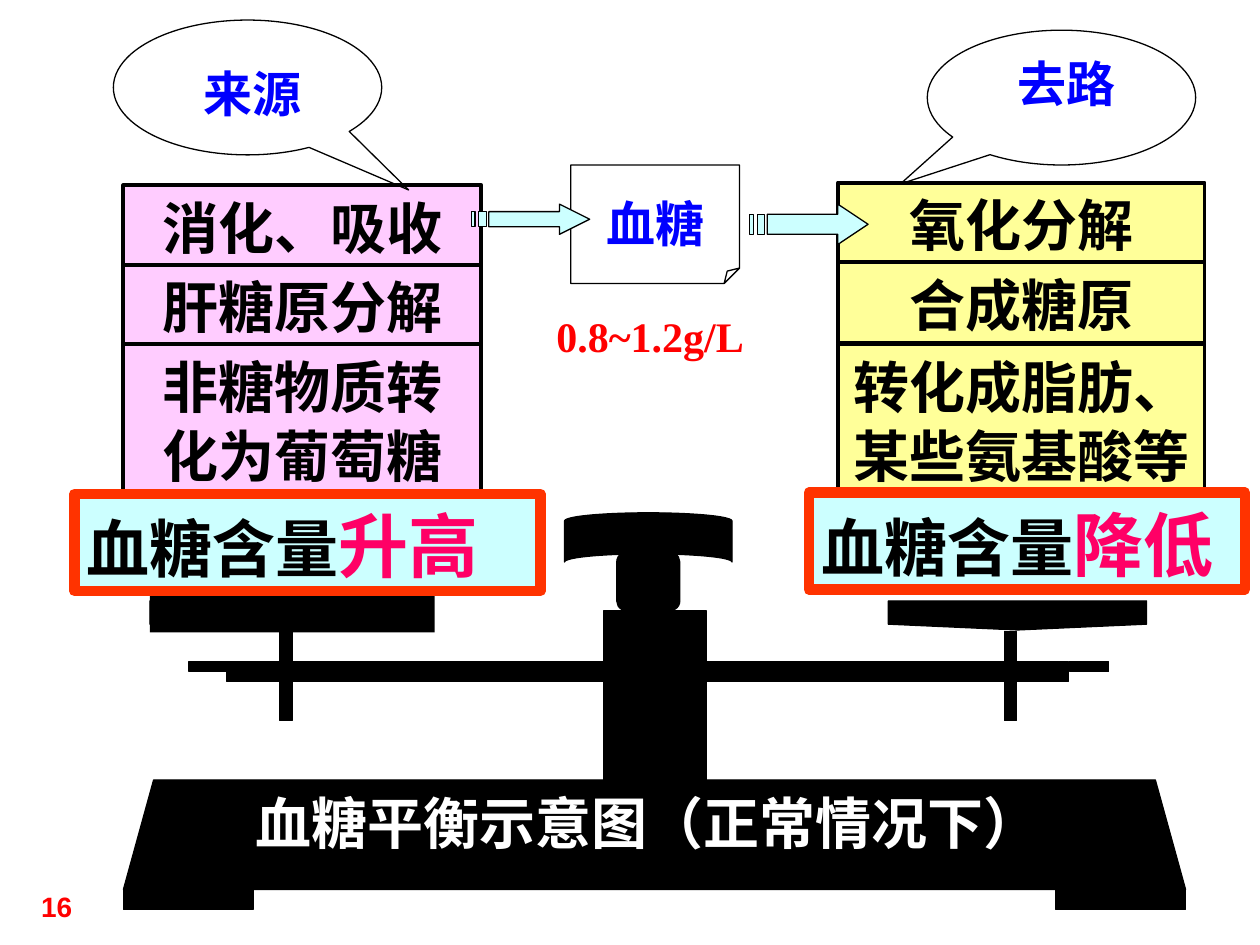
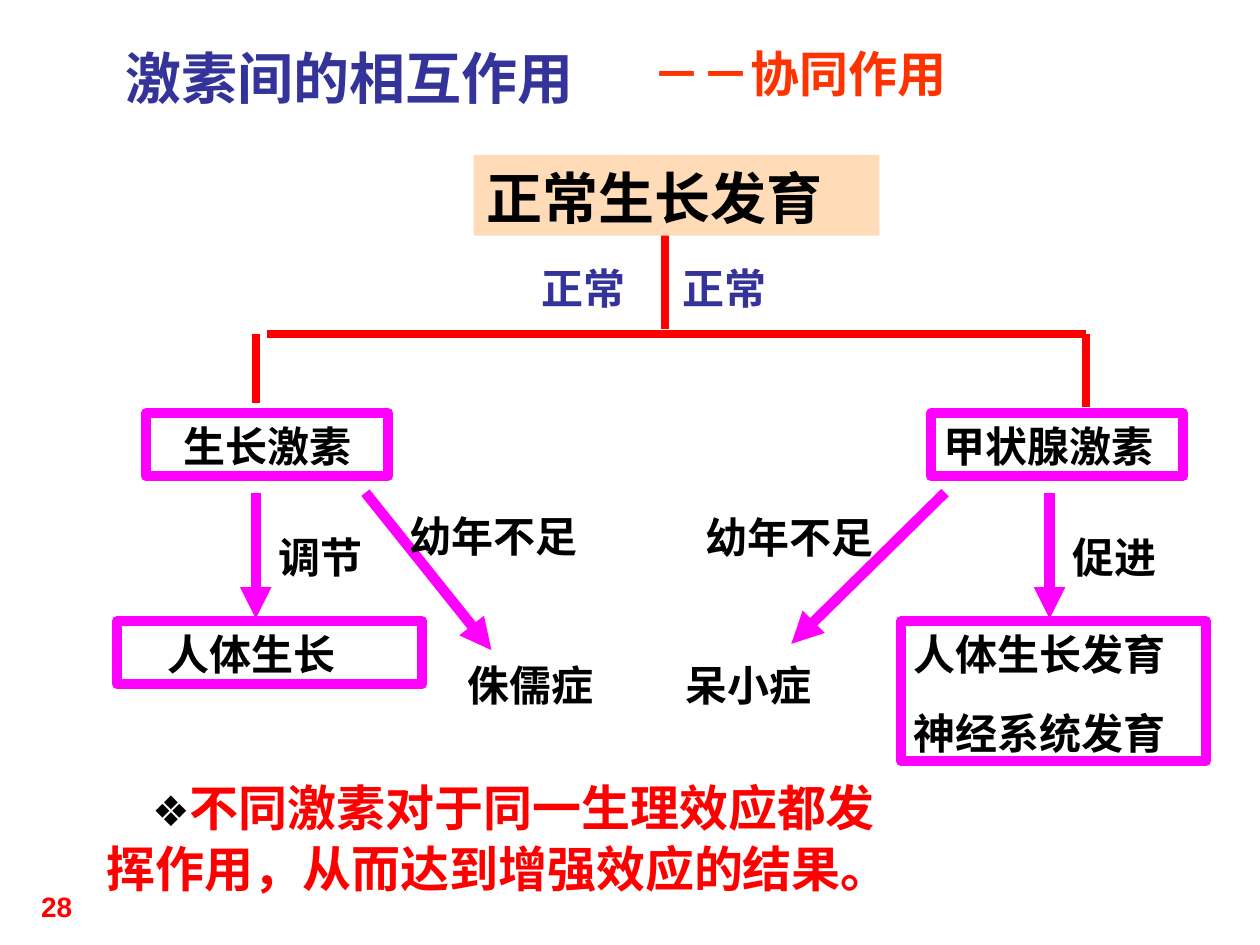
from dataclasses import dataclass
from typing import Optional

from lxml import etree
from pptx import Presentation
from pptx import util as u
from pptx.dml.color import RGBColor
from pptx.enum import shapes, text
from pptx.oxml import ns

PX = 9144
BLACK = RGBColor(0, 0, 0)
WHITE = RGBColor(255, 255, 255)
RED = RGBColor(255, 0, 0)
ORANGE = RGBColor(255, 51, 0)
ROSE = RGBColor(255, 0, 102)
BLUE = RGBColor(0, 0, 255)
INDIGO = RGBColor(51, 51, 153)
MAGENTA = RGBColor(255, 0, 255)
PINK = RGBColor(255, 204, 255)
YELLOW = RGBColor(255, 255, 153)
CYAN = RGBColor(204, 255, 255)
PEACH = RGBColor(255, 219, 183)

KIND = shapes.MSO_SHAPE
LEFT, CENTER, RIGHT = text.PP_ALIGN.LEFT, text.PP_ALIGN.CENTER, text.PP_ALIGN.RIGHT
SERIF, SANS, ARIAL, ROBOTO, CJK = (
    "Times New Roman", "DejaVu Sans", "Arial", "Roboto", "Noto Sans CJK JP")


@dataclass(frozen=True)
class Box:
    x: int
    y: int
    w: int
    h: int


@dataclass(frozen=True)
class Style:
    size: int
    font: str = SERIF
    color: RGBColor = BLACK
    align: text.PP_ALIGN = LEFT
    spacing: float = 1.03


@dataclass(frozen=True)
class Piece:
    words: str
    size: int
    color: RGBColor
    font: str


@dataclass(frozen=True)
class Label:
    words: str
    box: Box
    style: Style


LAYER = Style(32, SANS, align=CENTER)
VERDICT = Style(36, SANS)
BUBBLE = Style(28, ROBOTO, BLUE, CENTER)
NOTE = Style(24)
NOTE_CENTER = Style(24, align=CENTER)
NORMAL = Style(24, CJK, INDIGO)
CONCLUSION = Style(28, SERIF, RED)
PAGE_NUMBER = Style(16, ARIAL, RED, RIGHT, 1.0)


def emu(box: Box) -> tuple:
    return tuple(u.Emu(side * PX) for side in (box.x, box.y, box.w, box.h))


def paint(shape, fill: Optional[RGBColor], line: Optional[RGBColor], width: float):
    shape.shadow.inherit = False
    if fill is None:
        shape.fill.background()
    else:
        shape.fill.solid()
        shape.fill.fore_color.rgb = fill
    if line is None:
        shape.line.fill.background()
    else:
        shape.line.color.rgb = line
        shape.line.width = u.Pt(width)
    return shape


def draw(slide, kind, box: Box, fill=None, line=BLACK, width=0.75, adjust=()):
    shape = slide.shapes.add_shape(kind, *emu(box))
    for index, value in enumerate(adjust):
        shape.adjustments[index] = value
    return paint(shape, fill, line, width)


def fold_corner(sheet, share: float) -> None:
    guides = sheet._element.spPr.find(ns.qn("a:prstGeom")).find(ns.qn("a:avLst"))
    etree.SubElement(guides, ns.qn("a:gd"), name="adj", fmla=f"val {round(share * 100000)}")


def outline(slide, contours: list, fill: RGBColor) -> None:
    builder = slide.shapes.build_freeform(*contours[0][0], scale=PX)
    builder.add_line_segments(contours[0][1:], close=True)
    for contour in contours[1:]:
        builder.move_to(*contour[0])
        builder.add_line_segments(contour[1:], close=True)
    paint(builder.convert_to_shape(), fill, BLACK, 0.75)


def east_asian(font, typeface: str) -> None:
    etree.SubElement(font._rPr, ns.qn("a:ea"), typeface=typeface)


def write(shape, lines: list, style: Style, indent: int = 0, inset: int = 10,
          gap: int = 0) -> None:
    frame = shape.text_frame
    frame.word_wrap = True
    frame.vertical_anchor = text.MSO_ANCHOR.TOP
    frame.margin_left, frame.margin_right = u.Emu(inset * PX), u.Emu(10 * PX)
    frame.margin_top = frame.margin_bottom = u.Emu(5 * PX)
    for index, line in enumerate(lines):
        paragraph = frame.add_paragraph() if index else frame.paragraphs[0]
        paragraph.alignment = style.align
        paragraph.line_spacing = style.spacing
        if index:
            paragraph.space_before = u.Pt(gap)
        if indent:
            paragraph._p.get_or_add_pPr().set("indent", str(indent * PX))
        font = paragraph.font
        font.bold = True
        if isinstance(line, str):
            paragraph.add_run().text = line
            font.size, font.name = u.Pt(style.size), style.font
            font.color.rgb = style.color
            east_asian(font, CJK if style.font == CJK else SANS)
            continue
        for piece in line:
            run = paragraph.add_run()
            run.text = piece.words
            run.font.size, run.font.name = u.Pt(piece.size), piece.font
            run.font.color.rgb = piece.color
            east_asian(run.font, SANS)


def label(slide, item: Label) -> None:
    write(slide.shapes.add_textbox(*emu(item.box)), [item.words], item.style)


def connect(slide, start: tuple, end: tuple, color: RGBColor, width: float,
            arrow: bool = False) -> None:
    points = [u.Emu(value * PX) for value in (*start, *end)]
    line = slide.shapes.add_connector(shapes.MSO_CONNECTOR.STRAIGHT, *points)
    line.line.color.rgb = color
    line.line.width = u.Pt(width)
    if arrow:
        etree.SubElement(line.line._get_or_add_ln(), ns.qn("a:tailEnd"), type="triangle")
    etree.SubElement(line._element.spPr, ns.qn("a:effectLst"))


def striped_arrow(slide, x: int, y: int, height: int) -> None:
    quarter = height // 4
    top, bottom = y + quarter, y + height - quarter
    neck = x + 70
    head = [(neck, y), (neck, top), (x + 14, top), (x + 14, bottom), (neck, bottom),
            (neck, y + height), (x + 94, y + height // 2)]
    stripes = [[(x + a, top), (x + a, bottom), (x + b, bottom), (x + b, top)]
               for a, b in ((6, 12), (0, 3))]
    outline(slide, [head, *stripes], CYAN)


def new_slide(deck, number: int):
    slide = deck.slides.add_slide(deck.slide_layouts[6])
    slide.background.fill.solid()
    slide.background.fill.fore_color.rgb = WHITE
    label(slide, Label(str(number), Box(15, 701, 52, 49), PAGE_NUMBER))
    return slide


def balance(slide) -> None:
    bars = [Box(150, 525, 31, 8), Box(849, 525, 31, 8), Box(98, 706, 103, 16),
            Box(838, 706, 103, 16), Box(479, 485, 82, 134), Box(180, 525, 668, 16),
            Box(222, 501, 10, 71), Box(797, 501, 10, 71)]
    draw(slide, KIND.FLOWCHART_STORED_DATA, Box(495, 360, 39, 133), BLACK).rotation = 90
    outline(slide, [[(941, 706), (917, 619), (122, 619), (98, 706)]], BLACK)
    for bar in bars:
        draw(slide, KIND.RECTANGLE, bar, BLACK)
    draw(slide, KIND.ROUNDED_RECTANGLE, Box(489, 438, 51, 47), BLACK, None)
    for pan in (Box(119, 477, 206, 23), Box(705, 477, 205, 23)):
        draw(slide, KIND.FLOWCHART_OFFPAGE_CONNECTOR, pan, BLACK)
    draw(slide, KIND.RECTANGLE, Box(119, 462, 226, 40), BLACK, None)


def stack(slide, x: int, y: int, width: int, fill: RGBColor, layers: list) -> None:
    tops = (y, y + 63, 273)
    for words, top, height in zip(layers, tops, (64, 64, 117)):
        layer = draw(slide, KIND.RECTANGLE, Box(x, top, width, height), fill, BLACK, 2.25)
        write(layer, [words], LAYER)


def verdict(slide, box: Box, change: str) -> None:
    panel = draw(slide, KIND.RECTANGLE, box, CYAN, ORANGE, 6)
    write(panel, [[Piece("血糖含量", 36, BLACK, SANS), Piece(change, 40, ROSE, SANS)]], VERDICT)


def blood_sugar(deck) -> None:
    slide = new_slide(deck, 16)
    balance(slide)
    stack(slide, 665, 145, 291, YELLOW, ["氧化分解", "合成糖原", "转化成脂肪、某些氨基酸等"])
    stack(slide, 98, 147, 284, PINK, ["消化、吸收", "肝糖原分解", "非糖物质转化为葡萄糖"])
    verdict(slide, Box(642, 391, 346, 77), "降低")
    verdict(slide, Box(59, 392, 370, 77), "升高")
    draw(slide, KIND.OVAL_CALLOUT, Box(90, 16, 213, 107), adjust=(0.6, 0.76))
    draw(slide, KIND.OVAL_CALLOUT, Box(736, 24, 213, 107), adjust=(-0.6, 0.64))
    fold_corner(draw(slide, KIND.FOLDED_CORNER, Box(453, 131, 134, 94)), 0.13)
    striped_arrow(slide, 595, 162, 32)
    striped_arrow(slide, 374, 162, 24)
    for item in (
        Label("来源", Box(106, 44, 189, 57), BUBBLE),
        Label("血糖", Box(453, 147, 134, 57), BUBBLE),
        Label("去路", Box(752, 36, 189, 57), BUBBLE),
        Label("0.8~1.2g/L", Box(398, 249, 236, 42), Style(24, SERIF, RED, CENTER, 0.8)),
        Label("血糖平衡示意图（正常情况下）", Box(193, 619, 717, 64), Style(32, ARIAL, WHITE)),
    ):
        label(slide, item)


def hormones(deck) -> None:
    slide = new_slide(deck, 28)
    for lines, box, style, inset in (
        (["生长激素"], Box(116, 328, 192, 50), NOTE_CENTER, 10),
        (["甲状腺激素"], Box(739, 328, 200, 50), NOTE, 10),
        (["人体生长"], Box(93, 493, 242, 50), NOTE, 40),
        (["人体生长发育", "神经系统发育"], Box(715, 493, 242, 111), NOTE, 10),
    ):
        frame = draw(slide, KIND.RECTANGLE, box, None, MAGENTA, 6)
        write(frame, lines, style, inset=inset, gap=15)
    for start, end in (
        ((203, 391), (203, 491)), ((290, 391), (390, 516)),
        ((833, 391), (833, 491)), ((750, 391), (628, 511)),
    ):
        connect(slide, start, end, MAGENTA, 6, arrow=True)
    for start, end in (
        ((203, 265), (203, 320)), ((862, 265), (862, 323)),
        ((212, 265), (862, 265)), ((528, 261), (528, 178)),
    ):
        connect(slide, start, end, RED, 4.5)
    growth = draw(slide, KIND.RECTANGLE, Box(376, 123, 322, 64), PEACH, None)
    write(growth, ["正常生长发育"], Style(32))
    for item in (
        Label("调节", Box(211, 416, 108, 50), NOTE),
        Label("促进", Box(841, 416, 108, 50), NOTE),
        Label("幼年不足", Box(315, 399, 158, 50), NOTE),
        Label("幼年不足", Box(550, 400, 157, 50), NOTE),
        Label("侏儒症", Box(361, 517, 158, 50), NOTE),
        Label("呆小症", Box(534, 517, 126, 50), NOTE),
        Label("正常", Box(420, 202, 100, 50), NORMAL),
        Label("正常", Box(532, 202, 100, 50), NORMAL),
        Label("激素间的相互作用", Box(90, 28, 400, 64), Style(32, SERIF, INDIGO)),
        Label("－－协同作用", Box(508, 28, 284, 57), Style(28, SERIF, ORANGE)),
    ):
        label(slide, item)
    conclusion = slide.shapes.add_textbox(*emu(Box(75, 611, 661, 104)))
    write(conclusion, [[
        Piece("❖", 24, BLACK, ARIAL),
        Piece("不同激素对于同一生理效应都发挥作用，从而达到增强效应的结果。", 28, RED, SERIF),
    ]], CONCLUSION, indent=36)


def main() -> None:
    deck = Presentation()
    deck.slide_width, deck.slide_height = u.Emu(1000 * PX), u.Emu(750 * PX)
    blood_sugar(deck)
    hormones(deck)
    deck.save("out.pptx")


if __name__ == "__main__":
    main()
